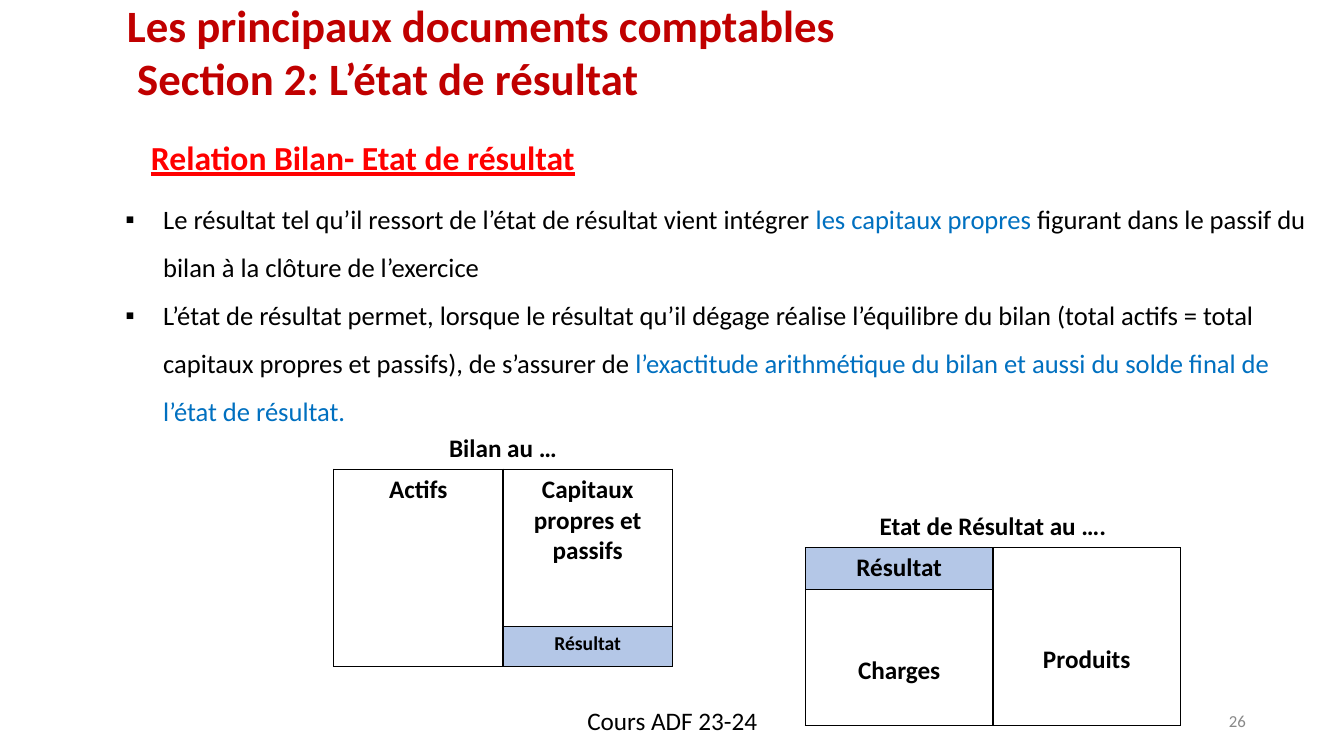
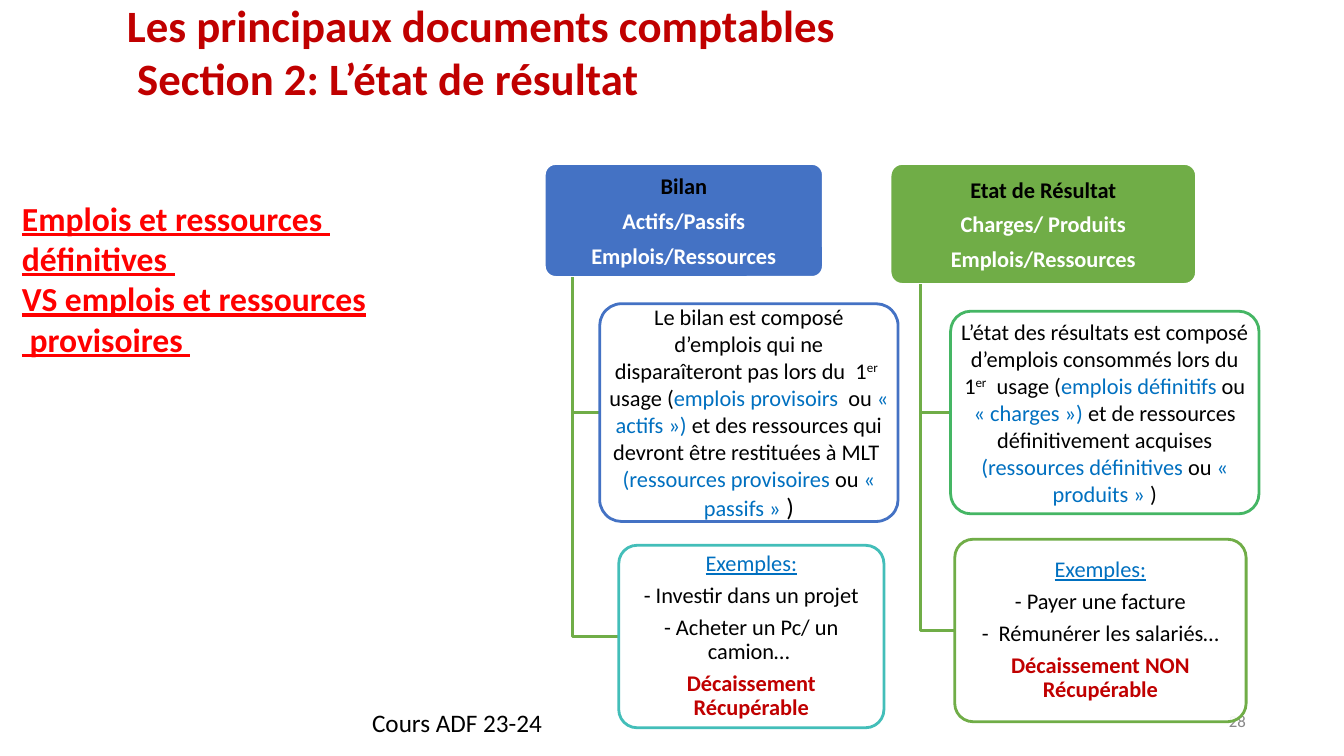
import pptx
import pptx.dml.color
import pptx.enum.shapes
import pptx.enum.text
import pptx.oxml
import pptx.oxml.ns
import pptx.util

Pt = pptx.util.Pt
RGB = pptx.dml.color.RGBColor
ALIGN = pptx.enum.text.PP_ALIGN
ANCHOR = pptx.enum.text.MSO_ANCHOR
ROUNDED = pptx.enum.shapes.MSO_SHAPE.ROUNDED_RECTANGLE

BLACK = RGB(0x00, 0x00, 0x00)
WHITE = RGB(0xFF, 0xFF, 0xFF)
GREY = RGB(0x88, 0x88, 0x88)
DARK_RED = RGB(0xC0, 0x00, 0x00)
RED = RGB(0xFF, 0x00, 0x00)
ACCENT = RGB(0x00, 0x70, 0xC0)
PALE_BLUE = RGB(0xB4, 0xC7, 0xE7)
BLUE = RGB(0x44, 0x72, 0xC4)
GREEN = RGB(0x70, 0xAD, 0x47)
TEAL = RGB(0x43, 0xBE, 0xB9)
EMERALD = RGB(0x45, 0xB6, 0x64)

FONT = "Calibri"
TITLE_LINES = ["Les principaux documents comptables", " Section 2: L’état de résultat"]
FOOTER = "Cours ADF 23-24"
DRAWING = "http://schemas.openxmlformats.org/drawingml/2006/main"

# Span formats used inside paragraphs
HIGHLIGHT = {"color": ACCENT}
RAISED = {"raised": True}
LARGER = {"size": 18}


def write_text(frame, paragraphs, align=ALIGN.LEFT, anchor=ANCHOR.TOP, margins=(7.2, 3.6),
               spacing=1.0, after=0, bullet=None, **style):
    """Each paragraph is a string or a list of strings and (string, format) pairs."""
    frame.word_wrap = True
    frame.auto_size = pptx.enum.text.MSO_AUTO_SIZE.NONE
    frame.vertical_anchor = anchor
    frame.margin_left = frame.margin_right = Pt(margins[0])
    frame.margin_top = frame.margin_bottom = Pt(margins[1])
    for index, content in enumerate(paragraphs):
        para = frame.paragraphs[0] if index == 0 else frame.add_paragraph()
        para.alignment = align
        para.line_spacing = spacing
        para.space_before = Pt(0)
        para.space_after = Pt(after)
        if bullet:
            add_bullet(para, bullet)
        write_spans(para, content, **style)


def write_spans(para, content, **style):
    for part in [content] if isinstance(content, (str, tuple)) else content:
        text, own = (part, {}) if isinstance(part, str) else part
        look = {"size": 18, "color": BLACK, "bold": False, "underline": False, **style, **own}
        span = para.add_run()
        span.text = text
        span.font.name = FONT
        span.font.size = Pt(look["size"])
        span.font.bold = look["bold"]
        span.font.underline = look["underline"]
        span.font.color.rgb = look["color"]
        if look.get("raised"):
            span._r.get_or_add_rPr().set("baseline", "30000")


def add_bullet(para, symbol):
    properties = para._p.get_or_add_pPr()
    properties.set("marL", str(Pt(36)))
    properties.set("indent", str(-Pt(27)))
    for markup in (f'<a:buClr xmlns:a="{DRAWING}"><a:srgbClr val="{BLACK}"/></a:buClr>',
                   f'<a:buFont xmlns:a="{DRAWING}" typeface="Arial"/>',
                   f'<a:buChar xmlns:a="{DRAWING}" char="{symbol}"/>'):
        properties.append(pptx.oxml.parse_xml(markup))


def add_text(page, box, paragraphs, **style):
    area = page.shapes.add_textbox(*map(Pt, box))
    write_text(area.text_frame, paragraphs, **style)


# Title, page number and footer shared by all slides
def add_page(deck, number, footer_box):
    page = deck.slides.add_slide(deck.slide_layouts[5])
    title = page.shapes.title
    title.left, title.top, title.width, title.height = map(Pt, (83.5, -0.7, 696, 117))
    write_text(title.text_frame, TITLE_LINES, spacing=0.9, size=32, bold=True, color=DARK_RED)
    title.text_frame.paragraphs[1].space_before = Pt(2.8)
    add_text(page, (866, 504, 27.5, 21.6), [number], align=ALIGN.RIGHT, anchor=ANCHOR.MIDDLE,
             margins=(3.6, 3.6), size=12, color=GREY)
    add_text(page, footer_box, [FOOTER], align=ALIGN.CENTER)
    return page


# Account tables
def set_borders(cell, drawn):
    properties = cell._tc.get_or_add_tcPr()
    for side in "LRTB":
        paint = f'<a:solidFill><a:srgbClr val="{BLACK}"/></a:solidFill>' if side in drawn else "<a:noFill/>"
        properties.append(pptx.oxml.parse_xml(
            f'<a:ln{side} xmlns:a="{DRAWING}" w="{Pt(1)}">{paint}</a:ln{side}>'))


def add_account(page, box, heights, entries, tall_column):
    """Heading row over two columns; the tall column spans both lower rows."""
    left, top, width, height = box
    table = page.shapes.add_table(3, 2, *map(Pt, box)).table
    table.first_row = table.horz_banding = False
    for column in table.columns:
        column.width = Pt(width / 2)
    for row, row_height in zip(table.rows, heights):
        row.height = Pt(row_height)
    for row in range(3):
        for column in range(2):
            cell = table.cell(row, column)
            set_borders(cell, "LRTB" if row else "B")
            cell.fill.background()
    table.cell(0, 0).merge(table.cell(0, 1))
    table.cell(1, tall_column).merge(table.cell(2, tall_column))
    for (row, column), text, style in entries:
        cell = table.cell(row, column)
        para = cell.text_frame.paragraphs[0]
        para.alignment = ALIGN.CENTER
        write_spans(para, text, bold=True, size=style.get("size", 18))
        cell.margin_top = Pt(style.get("drop", 3.6))
        if "fill" in style:
            cell.fill.solid()
            cell.fill.fore_color.rgb = style["fill"]


# Cards and their tree
def add_card(page, box, paragraphs, line, fill=WHITE, alpha=None, **style):
    card = page.shapes.add_shape(ROUNDED, *map(Pt, box))
    card.adjustments[0] = 0.1
    card.shadow.inherit = False
    card.fill.solid()
    card.fill.fore_color.rgb = fill
    if alpha:
        color = card._element.spPr.find(".//" + pptx.oxml.ns.qn("a:srgbClr"))
        color.append(pptx.oxml.parse_xml(f'<a:alpha xmlns:a="{DRAWING}" val="{alpha * 1000}"/>'))
    card.line.color.rgb = line
    card.line.width = Pt(2)
    write_text(card.text_frame, paragraphs, align=ALIGN.CENTER, anchor=ANCHOR.MIDDLE,
               margins=(2.2, 1.4), after=5.6, size=16, **style)


def add_branch(page, head, card):
    """Line from the foot of the head, at a tenth of its width, to the card's left side."""
    start = head[0] + head[2] / 10
    foot = head[1] + head[3]
    middle = card[1] + card[3] / 2
    builder = page.shapes.build_freeform(Pt(start), Pt(foot))
    builder.add_line_segments([(Pt(start), Pt(middle)), (Pt(card[0]), Pt(middle))], close=False)
    branch = builder.convert_to_shape()
    branch.shadow.inherit = False
    branch.fill.background()
    branch.line.color.rgb = GREEN
    branch.line.width = Pt(2)


def add_tree(page, head, fill, labels, cards):
    name, *details = labels
    add_card(page, head, [(name, {"color": BLACK})] + details, WHITE, fill, bold=True, color=WHITE)
    for box, line, spacing, paragraphs in cards:
        add_branch(page, head, box)
        add_card(page, box, paragraphs, line, alpha=90, spacing=spacing)


def examples(items, conclusion):
    return [("Exemples:", {"color": ACCENT, "underline": True}), *items,
            (conclusion, {"color": DARK_RED, "bold": True})]


def build_relation(deck):
    page = add_page(deck, "26", (328.3, 500.4, 303.8, 28.8))
    add_text(page, (100.8, 94.3, 330, 36), ["Relation Bilan- Etat de résultat"],
             size=24, color=RED, bold=True, underline=True)
    add_text(page, (77, 130.3, 862.6, 200), [
        ["Le résultat tel qu’il ressort de l’état de résultat vient intégrer ",
         ("les capitaux propres ", HIGHLIGHT),
         "figurant dans le passif du bilan à la clôture de l’exercice"],
        ["L’état de résultat permet, lorsque le résultat qu’il dégage réalise l’équilibre du bilan "
         "(total actifs = total capitaux propres et passifs), de s’assurer de ",
         ("l’exactitude arithmétique du bilan et aussi du solde final de l’état de résultat.",
          HIGHLIGHT)],
    ], margins=(3.6, 3.6), spacing=1.5, bullet="▪", size=19)
    add_account(page, (238.3, 306, 242, 169.2), (28.4, 112.4, 28.4), [
        ((0, 0), "Bilan au …", {}),
        ((1, 0), "Actifs", {}),
        ((1, 1), "Capitaux propres et passifs", {}),
        ((2, 1), "Résultat", {"size": 14, "fill": PALE_BLUE}),
    ], tall_column=0)
    add_account(page, (575.3, 362, 268, 156), (29.2, 29.6, 97.2), [
        ((0, 0), "Etat de Résultat au ….", {}),
        ((1, 0), "Résultat", {"fill": PALE_BLUE}),
        ((1, 1), "Produits", {"drop": 69.5}),
        ((2, 0), "Charges", {"drop": 47.5}),
    ], tall_column=1)


def build_comparison(deck):
    page = add_page(deck, "28", (209.5, 502, 234, 25.2))
    add_text(page, (8.6, 137.5, 285, 124), [
        "Emplois et ressources ", "définitives ", "VS emplois et ressources", " provisoires "],
        size=24, color=RED, bold=True, underline=True)
    add_tree(page, (388.8, 116.8, 199.4, 81.4), BLUE,
             ["Bilan", "Actifs/Passifs", "Emplois/Ressources"], [
        ((428.4, 217, 213.1, 155.5), BLUE, 1.0, [[
            "Le bilan est composé d’emplois qui ne disparaîteront pas lors du  1", ("er", RAISED),
            "  usage (", ("emplois provisoirs  ", HIGHLIGHT), "ou", (" « actifs ») ", HIGHLIGHT),
            "et des ressources qui devront être restituées à MLT  ",
            ("(ressources provisoires", HIGHLIGHT), " ou ", ("« passifs »", HIGHLIGHT),
            (" )", LARGER)]]),
        ((442, 389.5, 189.4, 130.3), TEAL, 0.9, examples(
            ["- Investir dans un projet", "- Acheter un Pc/ un camion… "],
            "Décaissement Récupérable")),
    ])
    add_tree(page, (635.8, 116.8, 218.9, 86.4), GREEN,
             ["Etat de Résultat", "Charges/ Produits", "Emplois/Ressources"], [
        ((679, 222.3, 220.3, 144.7), EMERALD, 1.0, [[
            "L’état des résultats est composé d’emplois consommés lors du 1", ("er", RAISED),
            "  usage (", ("emplois définitifs ", HIGHLIGHT), "ou", (" « charges ») ", HIGHLIGHT),
            "et de ressources définitivement acquises ",
            ("(ressources définitives", HIGHLIGHT), " ou ", ("« produits » ", HIGHLIGHT), ")"]]),
        ((682, 385.2, 208.1, 130.3), GREEN, 0.9, examples(
            ["- Payer une facture", "-  Rémunérer les salariés…"],
            "Décaissement NON Récupérable")),
    ])


def main():
    deck = pptx.Presentation()
    deck.slide_width, deck.slide_height = Pt(960), Pt(540)
    build_relation(deck)
    build_comparison(deck)
    deck.save("out.pptx")


if __name__ == "__main__":
    main()
